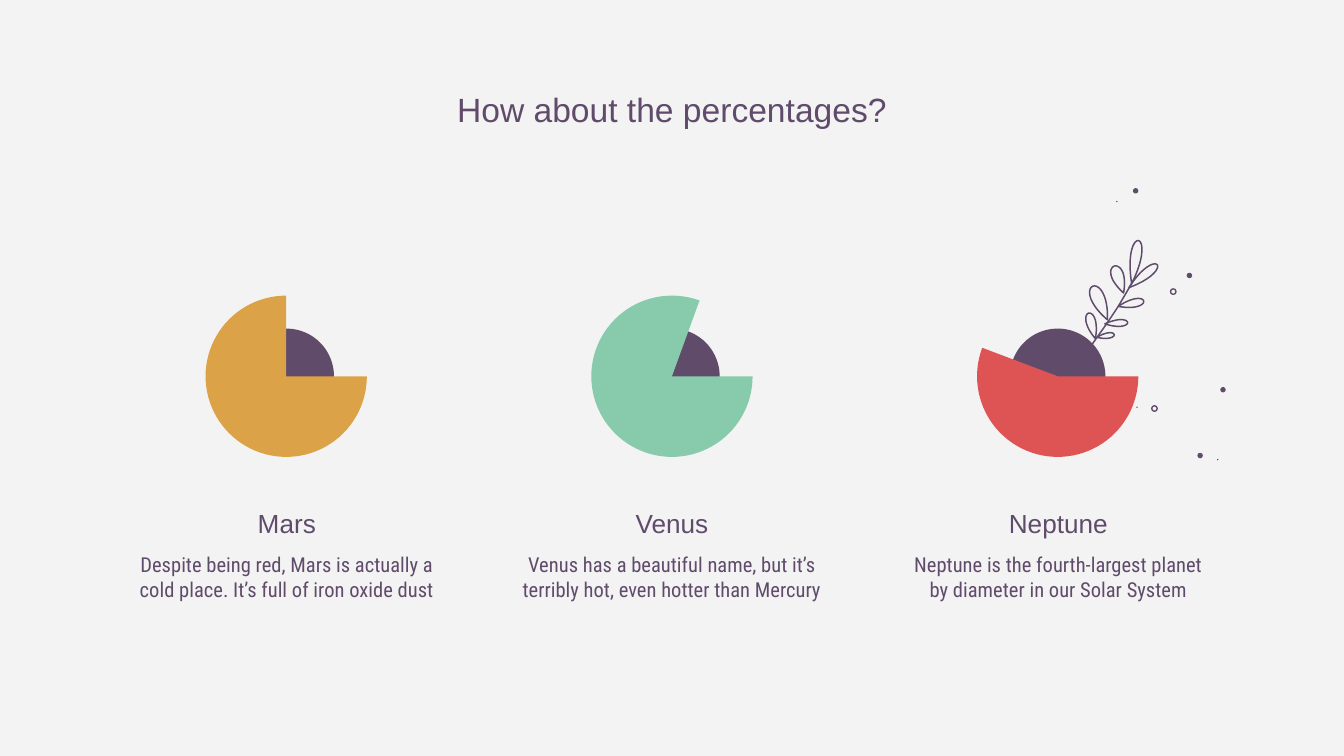
from dataclasses import dataclass
from math import cos, hypot, pi, sin

from pptx import Presentation
from pptx.dml.color import RGBColor
from pptx.enum.shapes import MSO_SHAPE as Shape
from pptx.enum.text import MSO_ANCHOR as Anchor, PP_ALIGN as Align
from pptx.util import Inches, Pt


@dataclass(frozen=True)
class Theme:
    background: str = "F3F3F3"
    ink: str = "604B6B"
    heading_font: str = "Arial"
    body_font: str = "Roboto Condensed"
    title_size: float = 18
    heading_size: float = 14
    body_size: float = 11
    sprig_line: float = 0.8
    ring_line: float = 0.75


PLANETS = [  # name, description, colour, end angle of the pie in degrees, text indent
    ("Mars", "Despite being red, Mars is actually a cold place. "
     "It’s full of iron oxide dust", "DCA248", 270, 0.01),
    ("Venus", "Venus has a beautiful name, but it’s terribly hot, "
     "even hotter than Mercury", "88CAAC", 290, 0),
    ("Neptune", "Neptune is the fourth-largest planet by diameter "
     "in our Solar System", "DE5353", 200.66, 0.01),
]
STEM = [(8.12, 2.57), (8.24, 2.4), (8.32, 2.28), (8.42, 2.11)]
LEAVES = [  # base, tip, width
    ((8.42, 2.11), (8.47, 1.79), 0.08),
    ((8.4, 2.14), (8.61, 1.97), 0.07),
    ((8.36, 2.18), (8.29, 1.98), 0.09),
    ((8.32, 2.28), (8.51, 2.24), 0.06),
    ((8.24, 2.38), (8.13, 2.13), 0.1),
    ((8.22, 2.41), (8.39, 2.4), 0.05),
    ((8.15, 2.52), (8.1, 2.33), 0.07),
    ((8.16, 2.51), (8.29, 2.49), 0.04),
]
DOTS = [(8.85, 2.05), (9.1, 2.9), (8.93, 3.39), (8.45, 1.42)]
SPECKS = [(8.31, 1.5), (9.06, 3.42), (8.46, 3.03)]
RINGS = [(8.59, 3.04), (8.73, 2.17)]


def leaf_points(base, tip, width, steps=32):
    """Closed teardrop, pointed at the base and round at the tip."""
    (x, y), dx, dy = base, tip[0] - base[0], tip[1] - base[1]
    length = hypot(dx, dy)
    points = []
    for i in range(steps + 1):
        t = 2 * pi * i / steps
        along = (1 - cos(t)) / 2
        across = 0.65 * width * sin(t) * sin(t / 2) / length
        points.append((x + along * dx - across * dy, y + along * dy + across * dx))
    return points


class SlideBuilder:
    def __init__(self, slide, theme):
        self.s, self.theme = slide, theme
        fill = slide.background.fill
        fill.solid()
        fill.fore_color.rgb = RGBColor.from_string(theme.background)

    def text(self, box, words, font, size, anchor=Anchor.TOP, indent=0):
        tf = self.s.shapes.add_textbox(*map(Inches, box)).text_frame
        tf.word_wrap = True
        tf.vertical_anchor = anchor
        tf.margin_left = Inches(indent)
        tf.margin_right = tf.margin_bottom = 0
        tf.margin_top = Pt(0.5)
        tf.text = words
        p = tf.paragraphs[0]
        p.alignment = Align.CENTER
        r = p.runs[0]
        r.font.name, r.font.size = font, Pt(size)
        r.font.color.rgb = RGBColor.from_string(self.theme.ink)

    def paint(self, sp, fill=None, line=None):
        """Fill with a colour, or outline in ink with a width in points."""
        sp.shadow.inherit = False
        if fill:
            sp.fill.solid()
            sp.fill.fore_color.rgb = RGBColor.from_string(fill)
        else:
            sp.fill.background()
        if line:
            sp.line.color.rgb = RGBColor.from_string(self.theme.ink)
            sp.line.width = Pt(line)
        else:
            sp.line.fill.background()

    def round_shape(self, center, size, fill=None, line=None, kind=Shape.OVAL):
        x, y = center
        sp = self.s.shapes.add_shape(kind, Inches(x - size / 2), Inches(y - size / 2),
                                     Inches(size), Inches(size))
        self.paint(sp, fill, line)
        return sp

    def pie(self, center, size, fill, end_angle):
        sp = self.round_shape(center, size, fill, kind=Shape.PIE)
        sp.adjustments[0] = 0
        sp.adjustments[1] = end_angle * 0.6  # 60000ths of a degree / 100000

    def sprig(self, stem, leaves):
        """Draw the stem and all leaves as one outlined shape."""
        builder = self.s.shapes.build_freeform(*map(Inches, stem[0]))
        for contour in [stem] + [leaf_points(*leaf) for leaf in leaves]:
            start, *rest = [(Inches(x), Inches(y)) for x, y in contour]
            if contour is not stem:
                builder.move_to(*start)
            builder.add_line_segments(rest, close=False)
        self.paint(builder.convert_to_shape(), line=self.theme.sprig_line)


def main():
    theme = Theme()
    prs = Presentation()
    prs.slide_width, prs.slide_height = Inches(10), Inches(5.625)
    page = SlideBuilder(prs.slides.add_slide(prs.slide_layouts[6]), theme)

    page.text((0.77, 0.38, 8.46, 0.58), "How about the percentages?",
              theme.heading_font, theme.title_size, Anchor.BOTTOM)

    text_width = 2.24
    for i, (name, description, color, end_angle, indent) in enumerate(PLANETS):
        x = 5 + 2.87 * (i - 1)
        left = x - text_width / 2
        page.round_shape((x, 2.8), 0.71, theme.ink)
        page.pie((x, 2.8), 1.2, color, end_angle)
        page.text((left, 3.73, text_width, 0.28), name,
                  theme.heading_font, theme.heading_size, Anchor.BOTTOM, indent)
        page.text((left, 4.1, text_width, 0.5), description,
                  theme.body_font, theme.body_size, indent=indent)

    page.sprig(STEM, LEAVES)
    for center in DOTS:
        page.round_shape(center, 0.04, theme.ink)
    for center in SPECKS:
        page.round_shape(center, 0.01, theme.ink)
    for center in RINGS:
        page.round_shape(center, 0.04, line=theme.ring_line)

    prs.save("out.pptx")


if __name__ == "__main__":
    main()
